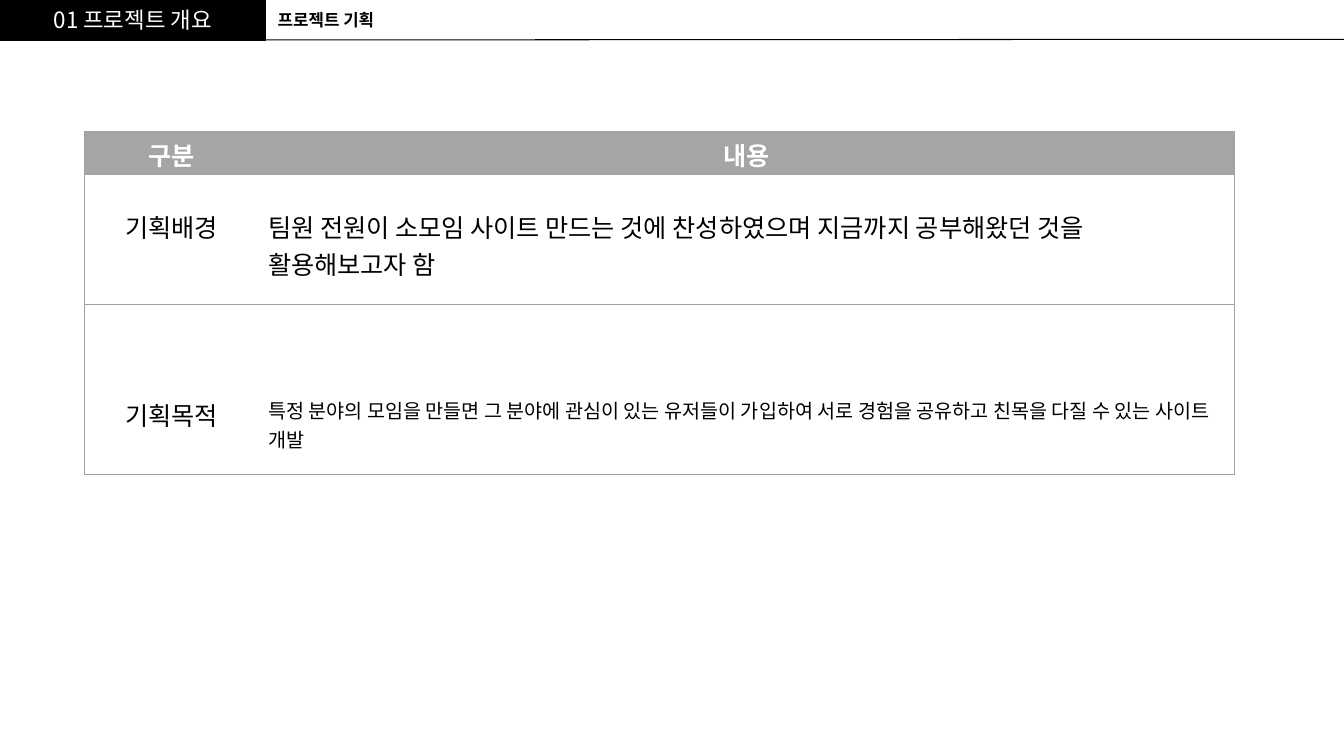
from lxml.etree import SubElement
from pptx import Presentation
from pptx.dml.color import RGBColor
from pptx.enum.shapes import MSO_CONNECTOR, MSO_SHAPE
from pptx.enum.text import MSO_ANCHOR, PP_ALIGN
from pptx.oxml.ns import qn
from pptx.util import Cm, Pt

BLACK, WHITE, HEADER_GREY, BORDER_GREY = "000000", "FFFFFF", "A5A5A5", "A1A1A1"
KOREAN = "Noto Sans CJK KR"


def colour(value):
    return RGBColor.from_string(value)


class SlideBuilder:
    def __init__(self, slide):
        self.slide = slide

    def set_text(self, frame, text, size, ink, font=KOREAN, bold=False, align=PP_ALIGN.LEFT):
        frame.word_wrap = True
        paragraph = frame.paragraphs[0]
        paragraph.text = text
        paragraph.alignment = align
        paragraph.font.name = font
        paragraph.font.size = Pt(size)
        paragraph.font.bold = bold
        paragraph.font.color.rgb = colour(ink)

    def banner(self, text, left, top, width, height):
        banner = self.slide.shapes.add_shape(
            MSO_SHAPE.RECTANGLE, Cm(left), Cm(top), Cm(width), Cm(height))
        banner.shadow.inherit = False
        banner.fill.solid()
        banner.fill.fore_color.rgb = colour(BLACK)
        banner.line.color.rgb = colour(BLACK)
        banner.line.width = Pt(1)
        banner.text_frame.vertical_anchor = MSO_ANCHOR.MIDDLE
        self.set_text(banner.text_frame, text, 16, WHITE, align=PP_ALIGN.CENTER)

    def rule(self, x1, y1, x2, y2):
        rule = self.slide.shapes.add_connector(
            MSO_CONNECTOR.STRAIGHT, Cm(x1), Cm(y1), Cm(x2), Cm(y2))
        rule.line.color.rgb = colour(BLACK)
        rule.line.width = Pt(0.75)
        SubElement(rule._element.spPr, qn("a:effectLst"))

    def heading(self, text, left, top, width, height):
        heading = self.slide.shapes.add_textbox(Cm(left), Cm(top), Cm(width), Cm(height))
        self.set_text(heading.text_frame, text, 12, BLACK, bold=True)

    def borders(self, cell, visible):
        properties = cell._tc.get_or_add_tcPr()
        for side in "LRTB":
            border = SubElement(properties, qn(f"a:ln{side}"), w=str(Pt(0.75)))
            if side in visible:
                fill = SubElement(border, qn("a:solidFill"))
                SubElement(fill, qn("a:srgbClr"), val=BORDER_GREY)
            else:
                SubElement(border, qn("a:noFill"))

    def table(self, rows, left, top, widths, heights, top_margins):
        table = self.slide.shapes.add_table(
            len(rows), len(widths), Cm(left), Cm(top),
            Cm(sum(widths)), Cm(sum(heights))).table
        table.horz_banding = False
        for column, width in zip(table.columns, widths):
            column.width = Cm(width)
        for r, (texts, height, margin) in enumerate(zip(rows, heights, top_margins)):
            table.rows[r].height = Cm(height)
            for c, (text, size) in enumerate(texts):
                is_header = r == 0
                cell = table.cell(r, c)
                cell.margin_top = Cm(margin)
                self.borders(cell, "LTB" if c == 0 else "RTB")
                if is_header:
                    cell.fill.solid()
                    cell.fill.fore_color.rgb = colour(HEADER_GREY)
                else:
                    cell.fill.background()
                self.set_text(cell.text_frame, text, size, WHITE if is_header else BLACK,
                              "Arial", is_header,
                              PP_ALIGN.CENTER if is_header or c == 0 else PP_ALIGN.LEFT)


def main():
    presentation = Presentation()
    presentation.slide_width = Cm(33.87)
    presentation.slide_height = Cm(19.05)
    builder = SlideBuilder(presentation.slides.add_slide(presentation.slide_layouts[6]))

    builder.banner("01 프로젝트 개요", 0, 0, 6.69, 1.01)
    builder.rule(0, 1.01, 33.87, 0.99)
    builder.heading("프로젝트 기획", 6.75, 0.12, 7.62, 0.77)
    plan = [
        [("구분", 18), ("내용", 18)],
        [("기획배경", 18),
         ("팀원 전원이 소모임 사이트 만드는 것에 찬성하였으며 지금까지 공부해왔던 것을 활용해보고자 함", 18)],
        [("기획목적", 18),
         ("특정 분야의 모임을 만들면 그 분야에 관심이 있는 유저들이 가입하여 서로 경험을 공유하고 "
          "친목을 다질 수 있는 사이트 개발", 14)],
    ]
    builder.table(plan, 2.14, 3.3, widths=[4.36, 24.62],
                  heights=[1.1, 3.28, 4.28], top_margins=[0.13, 0.86, 2.3])
    presentation.save("out.pptx")


if __name__ == "__main__":
    main()
